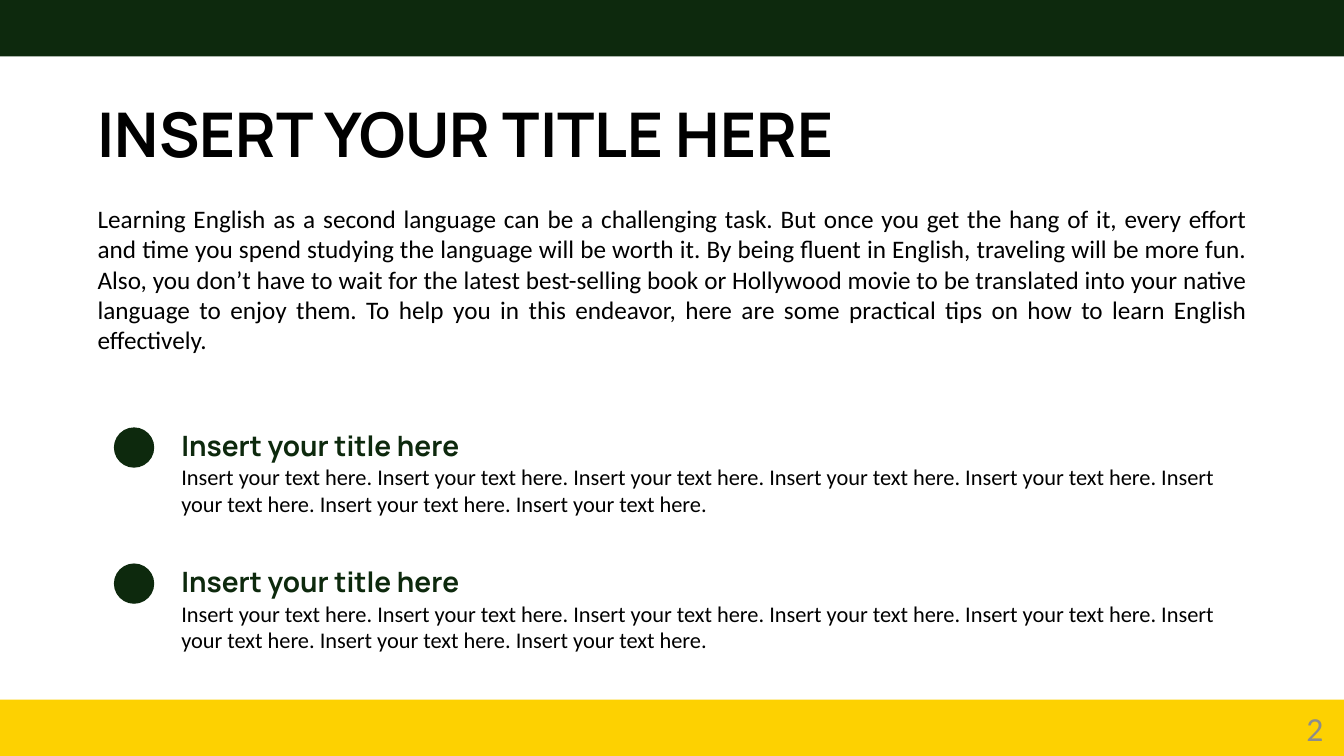
from dataclasses import dataclass

from pptx import Presentation
from pptx.dml.color import RGBColor
from pptx.enum import shapes, text
from pptx.slide import Slide
from pptx.util import Inches, Pt

GREEN = "0D290D"
YELLOW = "FDD101"
BLACK = "000000"
GRAY = "8C8C8C"
BODY_FONT = "Calibri"
TITLE_FONT = "Manrope"

SLIDE_WIDTH = 13.33
SLIDE_HEIGHT = 7.5
BAND_HEIGHT = 0.56
FIRST_TIP_TOP = 4.2
TIP_STEP = 1.35

INTRO = (
    "Learning English as a second language can be a challenging task. "
    "But once you get the hang of it, every effort and time you spend studying "
    "the language will be worth it. By being fluent in English, traveling will "
    "be more fun. Also, you don’t have to wait for the latest best-selling book "
    "or Hollywood movie to be translated into your native language to enjoy them. "
    "To help you in this endeavor, here are some practical tips on how to learn "
    "English effectively."
)


@dataclass
class Area:
    left: float
    top: float
    width: float
    height: float

    def lengths(self) -> list[Inches]:
        return [Inches(n) for n in (self.left, self.top, self.width, self.height)]


@dataclass
class Style:
    font: str
    size: int
    color: str
    bold: bool = False


@dataclass
class Tip:
    title: str
    body: str


INTRO_STYLE = Style(BODY_FONT, 18, BLACK)
TITLE_STYLE = Style(TITLE_FONT, 44, BLACK, bold=True)
TIP_TITLE_STYLE = Style(TITLE_FONT, 20, GREEN, bold=True)
TIP_BODY_STYLE = Style(BODY_FONT, 16, BLACK)
NUMBER_STYLE = Style(BODY_FONT, 24, GRAY)

TIPS = [
    Tip("Insert your title here", " ".join(["Insert your text here."] * 8)),
    Tip("Insert your title here", " ".join(["Insert your text here."] * 8)),
]


def rgb(value: str) -> RGBColor:
    return RGBColor.from_string(value)


def add_filled(page: Slide, kind: shapes.MSO_SHAPE, area: Area, color: str) -> None:
    shape = page.shapes.add_shape(kind, *area.lengths())
    shape.shadow.inherit = False
    shape.fill.solid()
    shape.fill.fore_color.rgb = rgb(color)
    shape.line.fill.background()


def add_text(
    page: Slide,
    area: Area,
    words: str,
    style: Style,
    align: text.PP_ALIGN = text.PP_ALIGN.LEFT,
    anchor: text.MSO_ANCHOR = text.MSO_ANCHOR.TOP,
) -> None:
    frame = page.shapes.add_textbox(*area.lengths()).text_frame
    frame.word_wrap = True
    frame.vertical_anchor = anchor
    frame.text = words
    para = frame.paragraphs[0]
    para.alignment = align
    span = para.runs[0]
    span.font.name = style.font
    span.font.size = Pt(style.size)
    span.font.bold = style.bold
    span.font.color.rgb = rgb(style.color)


def add_tip(page: Slide, tip: Tip, top: float) -> None:
    add_filled(page, shapes.MSO_SHAPE.OVAL, Area(1.13, top + 0.04, 0.4, 0.4), GREEN)
    add_text(page, Area(1.7, top + 0.35, 10.76, 0.64), tip.body, TIP_BODY_STYLE)
    add_text(page, Area(1.7, top, 7, 0.44), tip.title, TIP_TITLE_STYLE)


def main() -> None:
    deck = Presentation()
    deck.slide_width = Inches(SLIDE_WIDTH)
    deck.slide_height = Inches(SLIDE_HEIGHT)
    page = deck.slides.add_slide(deck.slide_layouts[6])

    for top, color in ((0, GREEN), (SLIDE_HEIGHT - BAND_HEIGHT, YELLOW)):
        band = Area(0, top, SLIDE_WIDTH, BAND_HEIGHT)
        add_filled(page, shapes.MSO_SHAPE.RECTANGLE, band, color)

    add_text(
        page, Area(0.87, 1.97, 11.6, 1.62), INTRO, INTRO_STYLE, text.PP_ALIGN.JUSTIFY
    )
    add_text(page, Area(0.87, 0.9, 8.67, 0.84), "INSERT YOUR TITLE HERE", TITLE_STYLE)

    for index, tip in enumerate(TIPS):
        add_tip(page, tip, FIRST_TIP_TOP + index * TIP_STEP)

    add_text(
        page,
        Area(12.86, 7.02, 0.47, 0.4),
        "2",
        NUMBER_STYLE,
        anchor=text.MSO_ANCHOR.MIDDLE,
    )
    deck.save("out.pptx")


if __name__ == "__main__":
    main()
